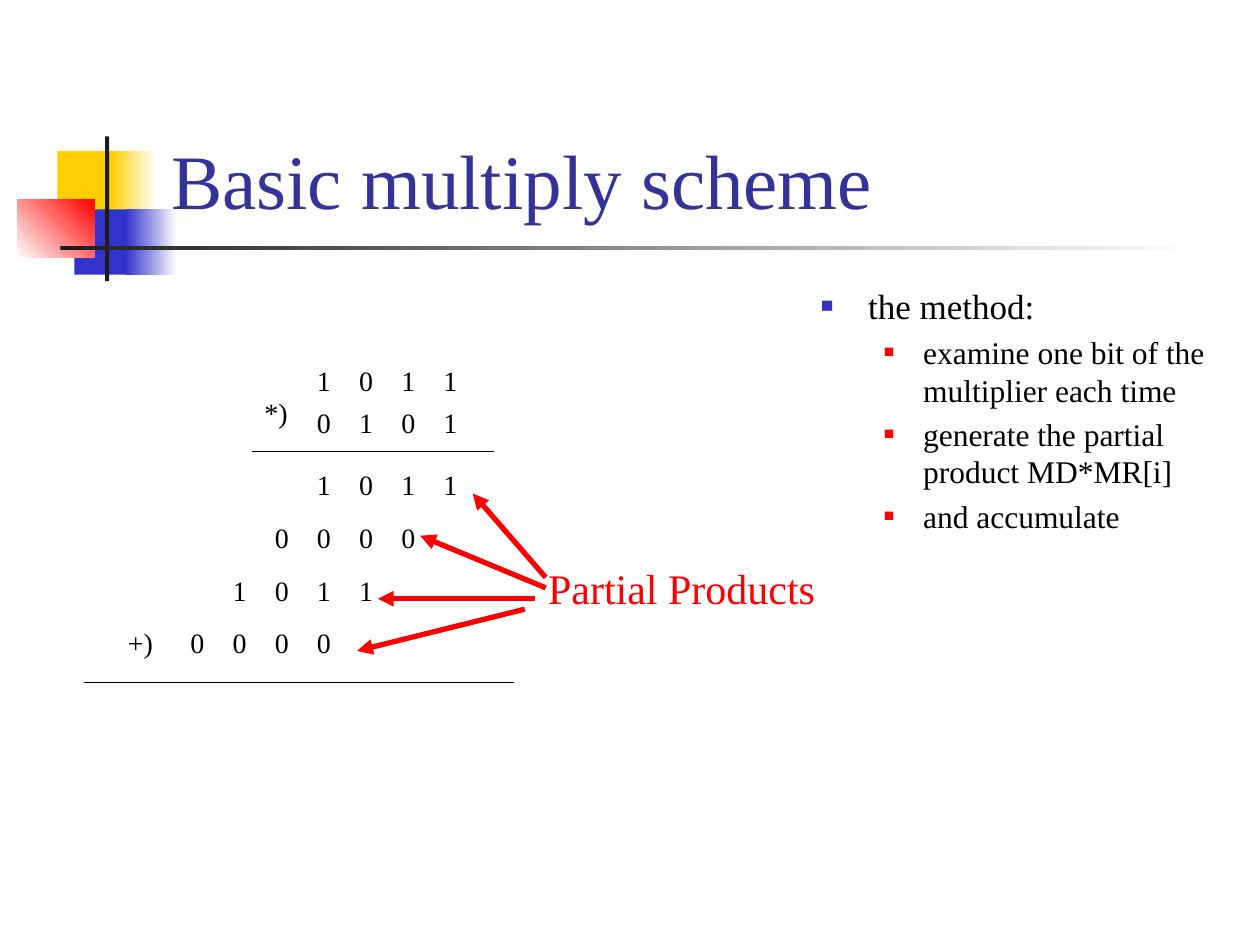
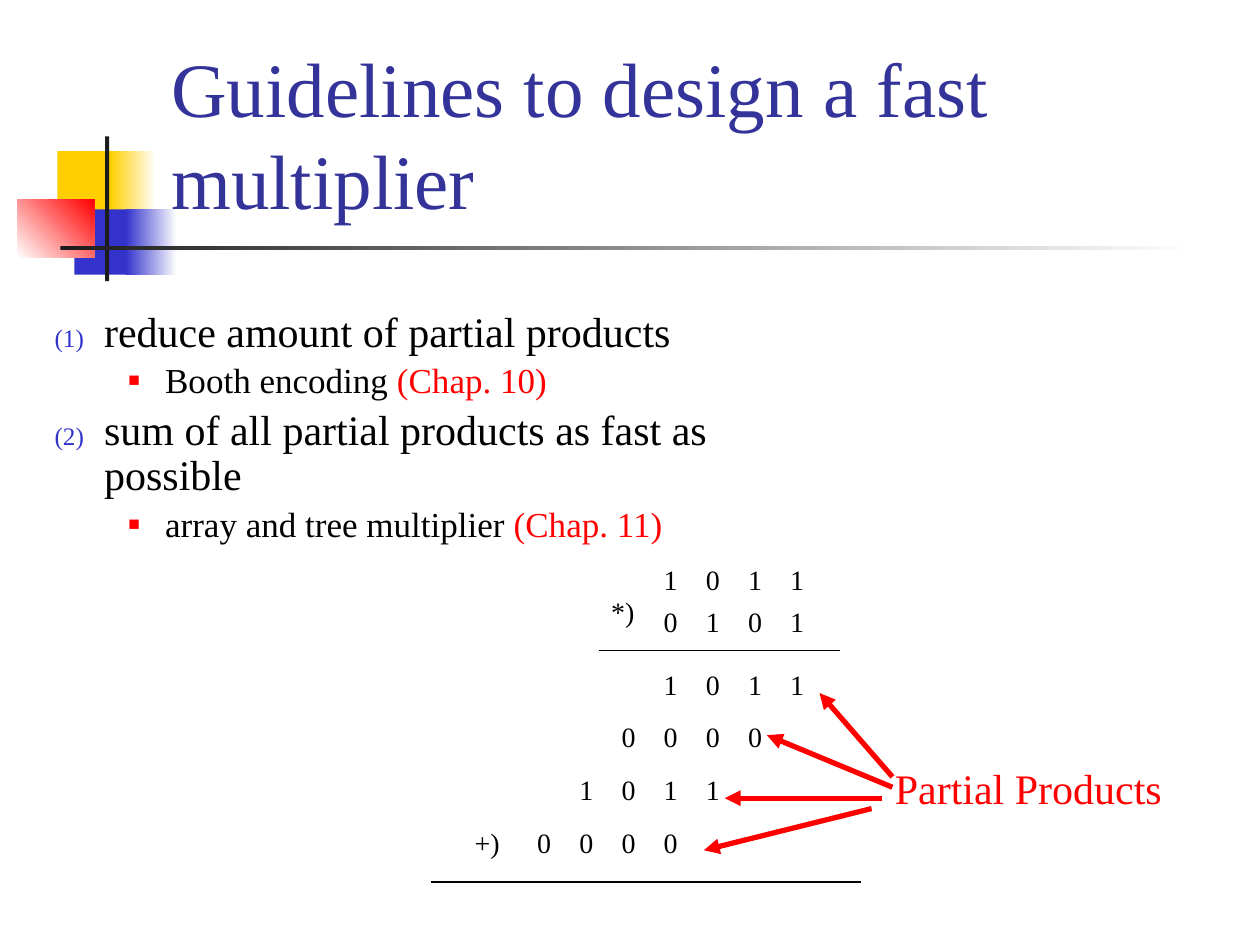
from lxml import etree
from pptx import Presentation
from pptx.dml.color import RGBColor
from pptx.enum import shapes, text
from pptx.oxml import ns
from pptx.util import Cm, Pt

FONT = "Times New Roman"
TITLE_BLUE = RGBColor(0x33, 0x33, 0x99)
BLUE = RGBColor(0x33, 0x33, 0xCC)
YELLOW = RGBColor(0xFF, 0xCF, 0x01)
RED = RGBColor(0xFF, 0x00, 0x00)
CHARCOAL = RGBColor(0x1C, 0x1C, 0x1C)
BLACK = RGBColor(0x00, 0x00, 0x00)
WHITE = RGBColor(0xFF, 0xFF, 0xFF)

DIGIT_STEP = 0.85
SIGN_WIDTH = 1.1
OPERANDS = ("1011", "0101")
PARTIAL_PRODUCTS = ("1011", "0000", "1011", "0000")
PRODUCT_STEP = 1.06

# left, top, width, height, colours (two make a gradient), gradient angle
DECORATION = [
    (1.16, 3.05, 1.22, 1.32, [YELLOW], 0),
    (2.23, 3.05, 0.92, 1.32, [YELLOW, WHITE], 0),
    (1.50, 4.22, 1.17, 1.32, [BLUE], 0),
    (2.54, 4.22, 1.02, 1.32, [BLUE, WHITE], 0),
    (0.35, 4.02, 1.55, 1.17, [WHITE, RED], 45),
    (2.12, 2.75, 0.08, 2.92, [CHARCOAL], 0),
    (1.22, 4.95, 22.86, 0.09, [CHARCOAL, WHITE], 0),
]

# from x, from y, to x, to y within the multiplication diagram
ARROWS = [
    (9.31, 4.44, 7.84, 2.75),
    (9.31, 4.65, 6.78, 3.60),
    (9.10, 4.87, 5.93, 4.87),
    (8.89, 5.08, 5.51, 5.92),
]


def add_xml(parent, tag, **attributes):
    return etree.SubElement(parent, ns.qn(tag), attributes)


def format_span(span, size, color):
    span.font.name = FONT
    span.font.size = Pt(size)
    span.font.color.rgb = color


def add_block(slide, left, top, width, height, colors, angle):
    block = slide.shapes.add_shape(
        shapes.MSO_SHAPE.RECTANGLE, Cm(left), Cm(top), Cm(width), Cm(height))
    block.shadow.inherit = False
    block.line.fill.background()
    if len(colors) == 1:
        block.fill.solid()
        block.fill.fore_color.rgb = colors[0]
    else:
        block.fill.gradient()
        block.fill.gradient_angle = angle
        for stop, color in zip(block.fill.gradient_stops, colors):
            stop.color.rgb = color
    return block


def decorate_layout(layout, slide):
    """Draw the shared blocks on a slide and move them to its layout."""
    for block_values in DECORATION:
        block = add_block(slide, *block_values)
        layout.shapes.element.append(block.element)


def set_title(slide, words):
    title = slide.shapes.title
    title.left, title.top = Cm(3.2), Cm(0.6)
    title.width, title.height = Cm(21.64), Cm(4.07)
    frame = title.text_frame
    frame.text = words
    frame.word_wrap = True
    frame.vertical_anchor = text.MSO_ANCHOR.BOTTOM
    para = frame.paragraphs[0]
    para.alignment = text.PP_ALIGN.LEFT
    format_span(para.runs[0], 44, TITLE_BLUE)


def add_text(slide, left, top, width, words, size=16, color=BLACK, height=0.94):
    box = slide.shapes.add_textbox(Cm(left), Cm(top), Cm(width), Cm(height))
    box.text_frame.word_wrap = False
    para = box.text_frame.paragraphs[0]
    para.text = words
    format_span(para.runs[0], size, color)
    return box


def add_digits(slide, left, top, digits):
    """Write a binary number with its digits on evenly spaced tab stops."""
    box = add_text(slide, left, top, 3.33, "\t".join(digits))
    frame = box.text_frame
    frame.word_wrap = True
    frame.margin_right = 0
    properties = frame.paragraphs[0]._p.get_or_add_pPr()
    tabs = add_xml(properties, "a:tabLst")
    for place in range(1, len(digits)):
        add_xml(tabs, "a:tab", pos=str(Cm(place * DIGIT_STEP)), algn="l")


def add_line(slide, start_x, start_y, end_x, end_y, color=BLACK, width=0.75):
    line = slide.shapes.add_connector(
        shapes.MSO_CONNECTOR.STRAIGHT,
        Cm(start_x), Cm(start_y), Cm(end_x), Cm(end_y))
    line.line.color.rgb = color
    line.line.width = Pt(width)
    add_xml(line.element.spPr, "a:effectLst")
    return line


def add_arrow(slide, *ends):
    arrow = add_line(slide, *ends, color=RED, width=3)
    outline = arrow.element.spPr.find(ns.qn("a:ln"))
    add_xml(outline, "a:tailEnd", type="triangle")


def set_bullet(para, indent, hanging, color, percent, numbered):
    properties = para._p.get_or_add_pPr()
    properties.set("marL", str(Cm(indent)))
    properties.set("indent", str(-Cm(hanging)))
    bullet_color = add_xml(properties, "a:buClr")
    add_xml(bullet_color, "a:srgbClr", val=str(color))
    add_xml(properties, "a:buSzPct", val=str(percent * 1000))
    add_xml(properties, "a:buFont", typeface=FONT)
    if numbered:
        add_xml(properties, "a:buAutoNum", type="arabicParenBoth")
    else:
        add_xml(properties, "a:buChar", char="■")


def add_outline(slide, place, items, sizes, indents, line_spacing=1.0,
                numbered=False):
    """Add a two-level list; each item is (level, words, red words)."""
    box = slide.shapes.add_textbox(*(Cm(length) for length in place))
    frame = box.text_frame
    frame.word_wrap = True
    for index, (level, words, red_words) in enumerate(items):
        para = frame.add_paragraph() if index else frame.paragraphs[0]
        size = sizes[level]
        para.level = level
        para.line_spacing = line_spacing
        para.space_before = Pt(size * 0.2)
        set_bullet(para, *indents[level], color=(BLUE, RED)[level],
                   percent=(60, 55)[level], numbered=numbered and level == 0)
        for part, color in ((words, BLACK), (red_words, RED)):
            if part:
                span = para.add_run()
                span.text = part
                format_span(span, size, color)


def add_multiplication(slide, left, top):
    """Draw the worked binary product with arrows to its partial products."""
    units_left = left + 4.45
    for row, digits in enumerate(OPERANDS):
        add_digits(slide, units_left, top + row * DIGIT_STEP, digits)
    add_text(slide, left + 3.39, top + 0.64, SIGN_WIDTH, "*)")
    add_line(slide, left + 3.39, top + 1.9, left + 8.26, top + 1.9)

    for row, digits in enumerate(PARTIAL_PRODUCTS):
        product_top = top + 2.11 + row * PRODUCT_STEP
        add_digits(slide, units_left - row * DIGIT_STEP, product_top, digits)
    add_text(slide, left + 0.64, product_top, SIGN_WIDTH, "+)")
    add_line(slide, left, top + 6.56, left + 8.68, top + 6.56)

    add_text(slide, left + 9.11, top + 4.02, 5.89, "Partial Products",
             size=24, color=RED, height=1.27)
    for start_x, start_y, end_x, end_y in ARROWS:
        add_arrow(slide, left + start_x, top + start_y,
                  left + end_x, top + end_y)


def main():
    deck = Presentation()
    deck.slide_width, deck.slide_height = Cm(25.4), Cm(19.05)
    layout = deck.slide_layouts.get_by_name("Title Only")

    scheme = deck.slides.add_slide(layout)
    decorate_layout(layout, scheme)
    set_title(scheme, "Basic multiply scheme")
    add_outline(
        scheme, (16.3, 5.61, 8.58, 5.82),
        [(0, "the method:", ""),
         (1, "examine one bit of the multiplier each time", ""),
         (1, "generate the partial product MD*MR[i]", ""),
         (1, "and accumulate", "")],
        sizes=(20, 18), indents=((0.95, 0.95), (2.06, 0.79)))
    add_multiplication(scheme, 1.69, 7.2)

    guidelines = deck.slides.add_slide(layout)
    set_title(guidelines, "Guidelines to design a fast multiplier")
    add_outline(
        guidelines, (0.85, 6.14, 13.76, 5.72),
        [(0, "reduce amount of partial products", ""),
         (1, "Booth encoding ", "(Chap. 10)"),
         (0, "sum of all partial products as fast as possible", ""),
         (1, "array and tree multiplier ", "(Chap. 11)")],
        sizes=(24, 20), indents=((1.0, 1.0), (2.23, 0.74)),
        line_spacing=0.9, numbered=True)
    add_multiplication(guidelines, 8.68, 11.22)

    deck.save("out.pptx")


if __name__ == "__main__":
    main()
